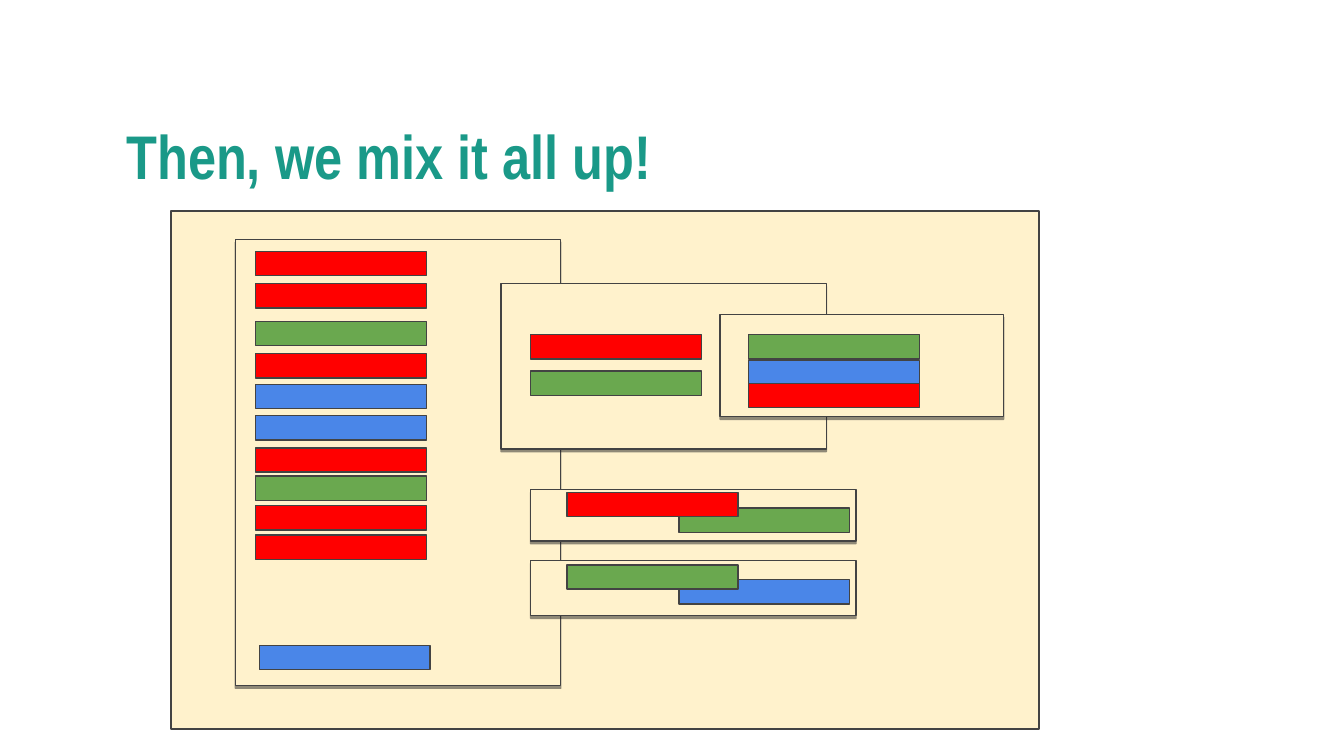
from typing import NamedTuple

from lxml import etree
from pptx import Presentation
from pptx.dml.color import RGBColor
from pptx.enum.shapes import MSO_SHAPE
from pptx.enum.text import MSO_ANCHOR, MSO_AUTO_SIZE, PP_ALIGN
from pptx.oxml.ns import qn
from pptx.util import Cm, Pt

RECT = MSO_SHAPE.RECTANGLE
TOP = MSO_ANCHOR.TOP
LEFT = PP_ALIGN.LEFT
FIXED = MSO_AUTO_SIZE.NONE

CREAM, EDGE, SHADE, TEAL = "FFF2CC", "434343", "202124", "1A9988"
RED, GREEN, BLUE = "FF0000", "6AA84F", "4A86E8"
BAR_W, BAR_H = 3.23, 0.46


class Box(NamedTuple):
    """Place and size in centimetres."""
    x: float
    y: float
    w: float
    h: float


class Bar(NamedTuple):
    y: float
    fill: str


FRAME = Box(3.23, 3.99, 16.41, 9.78)
PANELS = [
    Box(4.45, 4.52, 6.15, 8.43),
    Box(9.47, 5.36, 6.15, 3.12),
    Box(13.61, 5.94, 5.36, 1.93),
    Box(10.03, 9.25, 6.15, 0.97),
    Box(10.03, 10.59, 6.15, 1.04),
]
# Bars by their left edge; later columns overlap earlier ones
COLUMNS = {
    4.83: [Bar(4.75, RED), Bar(5.36, RED), Bar(6.07, GREEN), Bar(6.68, RED),
           Bar(7.26, BLUE), Bar(7.85, BLUE), Bar(8.46, RED), Bar(8.99, GREEN),
           Bar(9.55, RED), Bar(10.11, RED)],
    4.9: [Bar(12.19, BLUE)],
    10.03: [Bar(6.32, RED), Bar(7.01, GREEN)],
    14.15: [Bar(6.32, GREEN), Bar(6.81, BLUE), Bar(7.24, RED)],
    12.83: [Bar(9.6, GREEN), Bar(10.95, BLUE)],
    10.72: [Bar(9.3, RED), Bar(10.67, GREEN)],
}


def color(target, code: str) -> None:
    target.rgb = RGBColor.from_string(code)


def draw_box(slide, box: Box, fill: str):
    shape = slide.shapes.add_shape(RECT, *map(Cm, box))
    shape.shadow.inherit = False
    shape.fill.solid()
    color(shape.fill.fore_color, fill)
    color(shape.line.color, EDGE)
    shape.line.width = Pt(0.75)
    return shape


def add_shade(shape) -> None:
    """Drop a hard, half-clear shadow straight down."""
    effects = shape._element.spPr.find(qn("a:effectLst"))
    outer = etree.SubElement(effects, qn("a:outerShdw"), blurRad="0",
                             dist=str(Pt(1.5)), dir="5400000",
                             algn="bl", rotWithShape="0")
    tint = etree.SubElement(outer, qn("a:srgbClr"), val=SHADE)
    etree.SubElement(tint, qn("a:alpha"), val="50000")


def set_title(slide, text: str) -> None:
    title = slide.shapes.title
    title.left, title.top = Cm(2.21), Cm(2.21)
    title.width, title.height = Cm(20.07), Cm(2.77)
    frame = title.text_frame
    frame.text = text
    frame.word_wrap = True
    frame.auto_size = FIXED
    frame.vertical_anchor = TOP
    frame.margin_left = frame.margin_right = Cm(0.18)
    frame.margin_top = frame.margin_bottom = Cm(0.18)
    line = frame.paragraphs[0]
    line.alignment = LEFT
    line.line_spacing = 0.9
    line.font.name = "Arial Narrow"
    line.font.size = Pt(33)
    line.font.bold = True
    color(line.font.color, TEAL)


def main() -> None:
    deck = Presentation()
    deck.slide_width, deck.slide_height = Cm(25.4), Cm(14.28)
    slide = deck.slides.add_slide(deck.slide_layouts[5])
    set_title(slide, "Then, we mix it all up!")
    draw_box(slide, FRAME, CREAM)
    for panel in PANELS:
        add_shade(draw_box(slide, panel, CREAM))
    for x, bars in COLUMNS.items():
        for bar in bars:
            draw_box(slide, Box(x, bar.y, BAR_W, BAR_H), bar.fill)
    deck.save("out.pptx")


if __name__ == "__main__":
    main()
